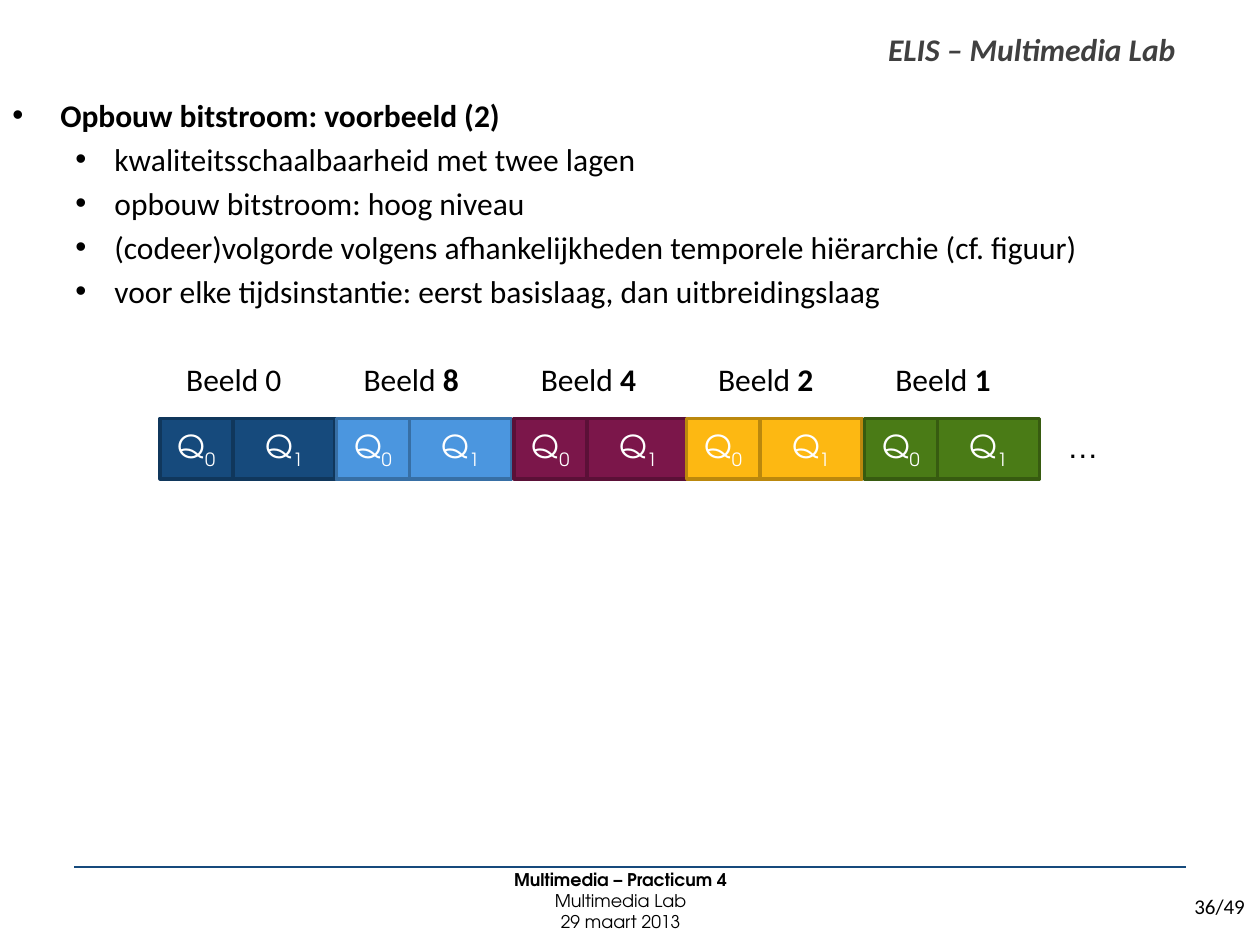
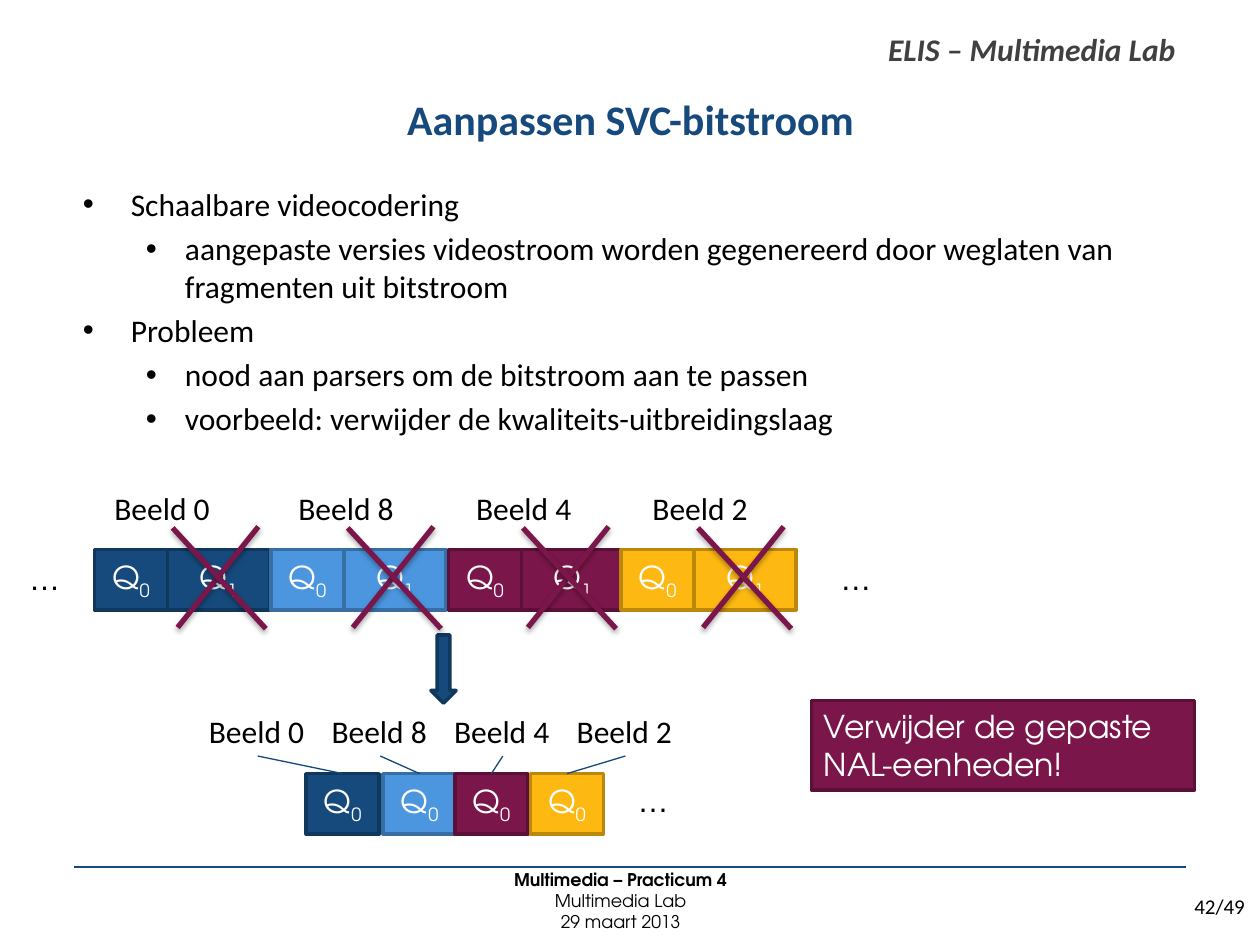
from dataclasses import dataclass

from pptx import Presentation
from pptx.dml.color import RGBColor
from pptx.enum.shapes import MSO_CONNECTOR, MSO_SHAPE
from pptx.enum.text import MSO_ANCHOR, PP_ALIGN
from pptx.oxml import parse_xml
from pptx.oxml.ns import nsdecls
from pptx.util import Inches, Pt

RECT, ARROW = MSO_SHAPE.RECTANGLE, MSO_SHAPE.DOWN_ARROW
STRAIGHT = MSO_CONNECTOR.STRAIGHT
TOP, MIDDLE = MSO_ANCHOR.TOP, MSO_ANCHOR.MIDDLE
LEFT, CENTER, JUSTIFY = PP_ALIGN.LEFT, PP_ALIGN.CENTER, PP_ALIGN.JUSTIFY


@dataclass(frozen=True)
class Theme:
    body: str = "Calibri"
    accent: str = "TeX Gyre Adventor"
    dots: str = "Arial"
    title_size: int = 24
    text_size: int = 18
    page_size: int = 12
    foot_size: int = 10
    black: str = "000000"
    white: str = "FFFFFF"
    gray: str = "404040"
    link: str = "13487C"
    # Each pair is a fill and its darker outline.
    navy: tuple = ("164A7C", "10375C")
    sky: tuple = ("4B96DF", "376FA5")
    plum: tuple = ("7B164A", "5B1037")
    gold: tuple = ("FDB812", "BB880D")
    green: tuple = ("4A7B16", "375B10")


T = Theme()
PAIRS = (T.navy, T.sky, T.plum, T.gold, T.green)
FRAMES = ("0", "8", "4", "2", "1")
STARTS = (0, 1.4, 2.81, 4.18, 5.59)
BASE_STARTS = (0, 0.61, 1.18, 1.78)
BASE_W, EXTRA_W, CHIP_H = 0.58, 0.81, 0.48
LABEL_W, LABEL_H = 0.97, 0.4
# Indent and hanging first line for each bullet level.
INDENTS = ((0.38, -0.38), (0.81, -0.31))


def color(code):
    return RGBColor.from_string(code)


def add_run(para, text, size=T.text_size, font=T.body, tint=T.black,
            bold=False, italic=False, base=0):
    run = para.add_run()
    run.text = text
    style = run.font
    style.size, style.name = Pt(size), font
    style.bold, style.italic = bold, italic
    style.color.rgb = color(tint)
    if base:
        run._r.get_or_add_rPr().set("baseline", str(base * 1000))


def fill_text(frame, lines, align=LEFT, anchor=TOP, wrap=True, **style):
    """Write lines, each a list of (text, style changes) pairs."""
    frame.word_wrap = wrap
    frame.vertical_anchor = anchor
    for i, line in enumerate(lines):
        para = frame.paragraphs[0] if i == 0 else frame.add_paragraph()
        para.alignment = align
        for text, change in line:
            add_run(para, text, **{**style, **change})


def add_text(slide, box, lines, **style):
    shape = slide.shapes.add_textbox(*map(Inches, box))
    fill_text(shape.text_frame, lines, **style)


def add_block(slide, kind, box, pair):
    shape = slide.shapes.add_shape(kind, *map(Inches, box))
    shape.shadow.inherit = False
    shape.fill.solid()
    shape.fill.fore_color.rgb = color(pair[0])
    shape.line.color.rgb = color(pair[1])
    shape.line.width = Pt(2)
    return shape


def add_line(shapes, start, end, tint, width, shadow=False):
    line = shapes.add_connector(STRAIGHT, *map(Inches, (*start, *end)))
    line.line.color.rgb = color(tint)
    line.line.width = Pt(width)
    effect = (
        '<a:outerShdw blurRad="40000" dist="23000" dir="5400000" '
        'rotWithShape="0"><a:srgbClr val="000000"><a:alpha val="35000"/>'
        '</a:srgbClr></a:outerShdw>' if shadow else "")
    line._element.spPr.append(parse_xml(
        f'<a:effectLst {nsdecls("a")}>{effect}</a:effectLst>'))


def add_frame(slide, page):
    """Add the lab name, footer and page number that all slides share."""
    add_text(slide, (9.38, 7.04, 0.72, 0.3), [[(f"{page}/49", {})]],
             size=T.page_size)
    add_text(slide, (6.95, 0.19, 2.5, 0.4), [[("ELIS – Multimedia Lab", {})]],
             align=JUSTIFY, wrap=False, tint=T.gray, bold=True, italic=True)
    add_line(slide.shapes, (0.59, 6.88), (9.41, 6.88), T.navy[0], 1.5)
    add_text(slide, (0.47, 6.84, 8.91, 0.62),
             [[("Multimedia – Practicum 4", {"bold": True})],
              [("Multimedia Lab", {})], [("29 maart 2013", {})]],
             align=CENTER, anchor=MIDDLE, size=T.foot_size, font=T.accent)


def add_title(slide, text):
    add_text(slide, (0.55, 0.58, 8.91, 0.73), [[(text, {})]], align=CENTER,
             anchor=MIDDLE, size=T.title_size, tint=T.navy[0], bold=True)


def add_list(slide, box, items):
    """Add bullets from (level, text, bold) items."""
    frame = slide.shapes.add_textbox(*map(Inches, box)).text_frame
    frame.word_wrap = True
    for i, (level, text, bold) in enumerate(items):
        para = frame.paragraphs[0] if i == 0 else frame.add_paragraph()
        para.level = level
        props = para._p.get_or_add_pPr()
        margin, hang = INDENTS[level]
        props.set("marL", str(Inches(margin)))
        props.set("indent", str(Inches(hang)))
        props.append(parse_xml(
            f'<a:buFont {nsdecls("a")} typeface="Arial"/>'))
        props.append(parse_xml(f'<a:buChar {nsdecls("a")} char="•"/>'))
        if i:
            para.space_before = Pt(0.2 * T.text_size)
        add_run(para, text, bold=bold)


def add_chip(slide, left, top, layer, pair):
    width = EXTRA_W if layer else BASE_W
    chip = add_block(slide, RECT, (left, top, width, CHIP_H), pair)
    fill_text(chip.text_frame, [[("Q", {}), (str(layer), {"base": -25})]],
              align=CENTER, anchor=MIDDLE, font=T.accent, tint=T.white)


def add_stream(slide, left, top, count):
    """Draw base and extra layers of the first frames side by side."""
    for start, pair in zip(STARTS[:count], PAIRS):
        add_chip(slide, left + start, top, 0, pair)
        add_chip(slide, left + start + BASE_W, top, 1, pair)


def add_label(slide, left, top, name, bold=False):
    add_text(slide, (left, top, LABEL_W, LABEL_H),
             [[("Beeld ", {}), (name, {"bold": bold})]], wrap=False)


def add_dots(slide, left, top):
    add_text(slide, (left, top, 0.45, 0.4), [[("…", {})]],
             wrap=False, font=T.dots)


def add_cross(slide, left, top):
    shapes = slide.shapes.add_group_shape().shapes
    for start, end in (((0.68, 0), (0.04, 0.8)), ((0, 0.01), (0.74, 0.81))):
        add_line(shapes, (left + start[0], top + start[1]),
                 (left + end[0], top + end[1]), T.plum[0], 3, shadow=True)


def add_base(slide, left, top):
    """Draw the stream of base layers, with a label tied to each chip."""
    for start, pair in zip(BASE_STARTS, PAIRS):
        add_chip(slide, left + start, top, 0, pair)
    for i, start in enumerate(BASE_STARTS):
        label = left - 0.87 + 0.973 * i
        add_label(slide, label, top - 0.54, FRAMES[i])
        add_line(slide.shapes, (label + LABEL_W / 2, top - 0.14),
                 (left + start + BASE_W / 2, top), T.link, 0.75)
    add_dots(slide, left + 2.53, top + 0.01)


def add_note(slide, box, lines):
    note = add_block(slide, RECT, box, T.plum)
    fill_text(note.text_frame, [[(line, {})] for line in lines],
              font=T.accent, tint=T.white)


def build_order(slide):
    add_frame(slide, 36)
    add_list(slide, (0, 0.71, 9.11, 2.08), [
        (0, "Opbouw bitstroom: voorbeeld (2)", True),
        (1, "kwaliteitsschaalbaarheid met twee lagen", False),
        (1, "opbouw bitstroom: hoog niveau", False),
        (1, "(codeer)volgorde volgens afhankelijkheden temporele "
            "hiërarchie (cf. figuur)", False),
        (1, "voor elke tijdsinstantie: eerst basislaag, dan "
            "uitbreidingslaag", False)])
    add_stream(slide, 1.27, 3.32, 5)
    for i, name in enumerate(FRAMES):
        add_label(slide, 1.38 + 1.407 * i, 2.81, name, bold=i > 0)
    add_dots(slide, 8.37, 3.34)


def build_cut(slide):
    add_frame(slide, 42)
    add_title(slide, "Aanpassen SVC-bitstroom")
    add_list(slide, (0.56, 1.42, 8.53, 2.08), [
        (0, "Schaalbare videocodering", False),
        (1, "aangepaste versies videostroom worden gegenereerd door "
            "weglaten van fragmenten uit bitstroom", False),
        (0, "Probleem", False),
        (1, "nood aan parsers om de bitstroom aan te passen", False),
        (1, "voorbeeld: verwijder de kwaliteits-uitbreidingslaag", False)])
    add_stream(slide, 0.75, 4.36, 4)
    for left, name in zip((0.81, 2.27, 3.68, 5.08), FRAMES):
        add_label(slide, left, 3.83, name)
    for left in (0.13, 6.57):
        add_dots(slide, left, 4.39)
    add_block(slide, ARROW, (3.42, 5.04, 0.2, 0.54), T.navy)
    add_base(slide, 2.43, 6.14)
    for i in range(4):
        add_cross(slide, 1.37 + 1.39 * i, 4.18)
    add_note(slide, (6.44, 5.56, 3.04, 0.71),
             ("Verwijder de gepaste", "NAL-eenheden!"))


def main():
    deck = Presentation()
    deck.slide_width, deck.slide_height = Inches(10), Inches(7.5)
    blank = deck.slide_layouts[6]
    for build in (build_order, build_cut):
        build(deck.slides.add_slide(blank))
    deck.save("out.pptx")


if __name__ == "__main__":
    main()
